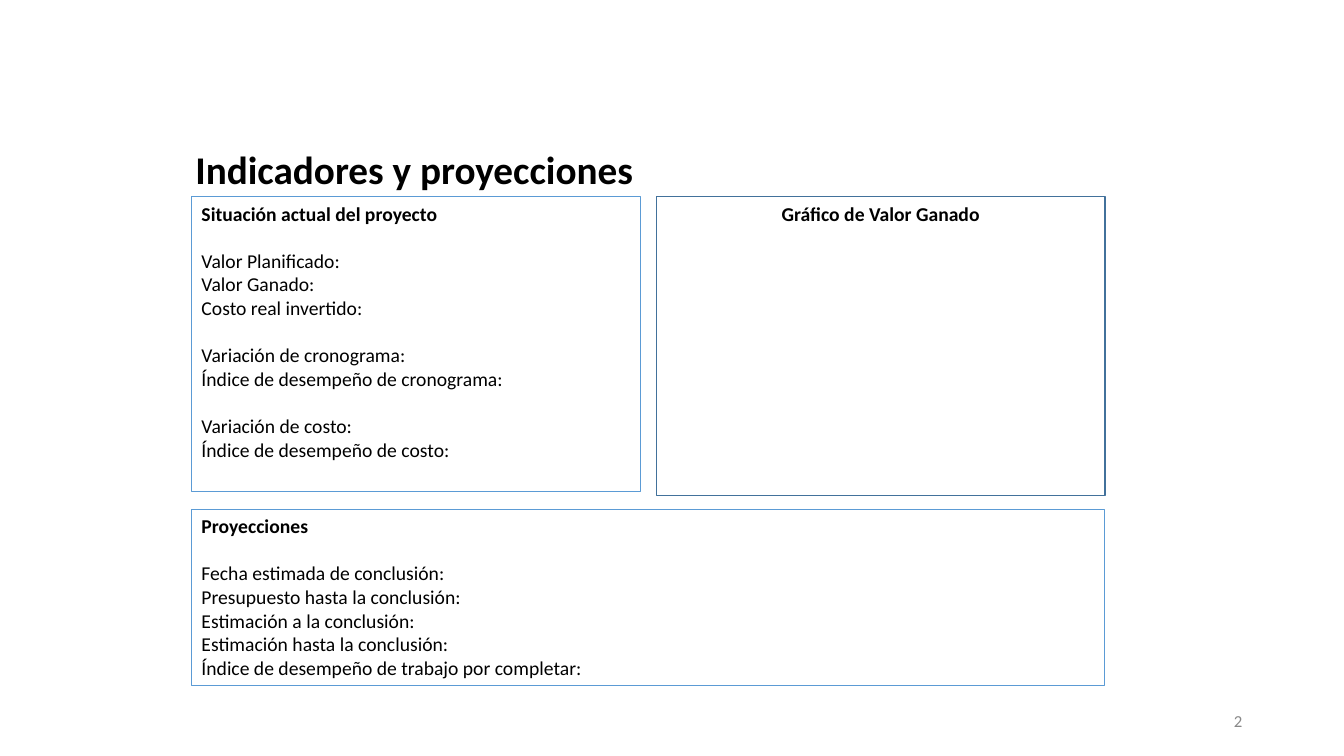
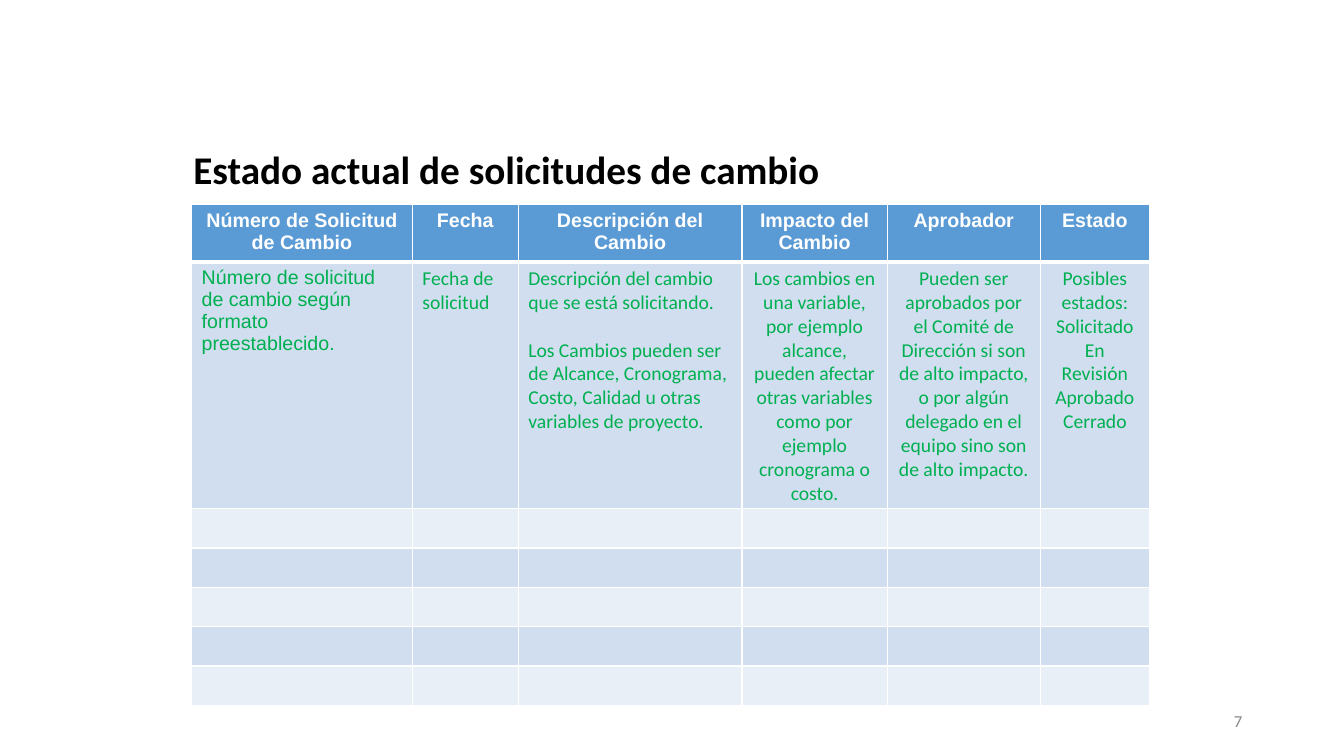
from lxml import etree
from pptx import Presentation
from pptx import util as u
from pptx.dml.color import RGBColor
from pptx.enum import shapes, text
from pptx.oxml.ns import qn

BLACK = RGBColor(0x00, 0x00, 0x00)
WHITE = RGBColor(0xFF, 0xFF, 0xFF)
GREY = RGBColor(0x88, 0x88, 0x88)
BLUE = RGBColor(0x5B, 0x9B, 0xD5)
NAVY = RGBColor(0x42, 0x71, 0x9B)
GREEN = RGBColor(0x00, 0xB0, 0x50)
BANDS = RGBColor(0xE9, 0xEF, 0xF7), RGBColor(0xD0, 0xDE, 0xEF)

LEFT, CENTER, RIGHT = (text.PP_ALIGN.LEFT, text.PP_ALIGN.CENTER,
                       text.PP_ALIGN.RIGHT)
TOP, MIDDLE = text.MSO_ANCHOR.TOP, text.MSO_ANCHOR.MIDDLE

EDGE, WIDE, GAP = 1.9, 9.06, 0.16
HALF = (WIDE - GAP) / 2
LINE = 17

BODY = dict(name="Calibri", size=u.Pt(14), bold=False)
STYLES = {
    "title": dict(BODY, size=u.Pt(28), bold=True, color=BLACK),
    "number": dict(BODY, size=u.Pt(12), color=GREY),
    "body": dict(BODY, color=BLACK),
    "lead": dict(BODY, bold=True, color=BLACK),
    "head": dict(BODY, name="Arial", bold=True, color=WHITE),
    "code": dict(BODY, name="Arial", color=GREEN),
    "hint": dict(BODY, color=GREEN),
}

PANELS = [
    ((EDGE, 1.95, HALF, 2.93), BLUE, LEFT, [
        ["Situación actual del proyecto"],
        ["Valor Planificado:", "Valor Ganado:", "Costo real invertido:"],
        ["Variación de cronograma:", "Índice de desempeño de cronograma:"],
        ["Variación de costo:", "Índice de desempeño de costo:"],
    ]),
    ((EDGE, 5.05, WIDE, 1.75), BLUE, LEFT, [
        ["Proyecciones"],
        ["Fecha estimada de conclusión:",
         "Presupuesto hasta la conclusión:",
         "Estimación a la conclusión:",
         "Estimación hasta la conclusión:",
         "Índice de desempeño de trabajo por completar:"],
    ]),
    ((EDGE + HALF + GAP, 1.95, HALF, 2.97), NAVY, CENTER, [
        ["Gráfico de Valor Ganado"],
    ]),
]

COLUMNS = [
    (2.19, "Número de Solicitud de Cambio", "code", LEFT,
     [["Número de solicitud de cambio según formato preestablecido."]]),
    (1.05, "Fecha", "hint", LEFT, [["Fecha de solicitud"]]),
    (2.22, "Descripción del Cambio", "hint", LEFT,
     [["Descripción del cambio que se está solicitando."],
      ["Los Cambios pueden ser de Alcance, Cronograma, Costo, Calidad u "
       "otras variables de proyecto."]]),
    (1.44, "Impacto del Cambio", "hint", CENTER,
     [["Los cambios en una variable, por ejemplo alcance, pueden afectar "
       "otras variables como por ejemplo cronograma o costo."]]),
    (1.52, "Aprobador", "hint", CENTER,
     [["Pueden ser aprobados por el Comité de Dirección si son de alto "
       "impacto, o por algún delegado en el equipo sino son de alto "
       "impacto."]]),
    (1.08, "Estado", "hint", CENTER,
     [["Posibles estados:", "Solicitado", "En Revisión", "Aprobado",
       "Cerrado"]]),
]
ROWS = [0.54, 2.45] + [0.39] * 5


def place(*box):
    return [u.Inches(n) for n in box]


def style(font, look):
    for key, value in look.items():
        if key == "color":
            font.color.rgb = value
        else:
            setattr(font, key, value)


def write(frame, groups, look, align=LEFT, lead=None):
    first = True
    for group in groups:
        for i, line in enumerate(group):
            para = frame.paragraphs[0] if first else frame.add_paragraph()
            para.alignment = align
            if i == 0 and not first:
                para.space_before = u.Pt(LINE)
            run = para.add_run()
            run.text = line
            style(run.font, STYLES[lead if first and lead else look])
            first = False


def label(slide, box, line, look, align=LEFT):
    frame = slide.shapes.add_textbox(*place(*box)).text_frame
    frame.word_wrap = True
    frame.vertical_anchor = MIDDLE
    write(frame, [[line]], look, align)


def start(deck, title, left, number):
    slide = deck.slides.add_slide(deck.slide_layouts[6])
    label(slide, (left, 1.48, 8.5, 0.39), title, "title")
    label(slide, (9.42, 6.95, 3, 0.4), number, "number", RIGHT)
    return slide


def panel(slide, box, color, align, groups):
    rect = slide.shapes.add_shape(shapes.MSO_SHAPE.RECTANGLE, *place(*box))
    rect.shadow.inherit = False
    rect.fill.background()
    rect.line.color.rgb = color
    rect.line.width = u.Pt(0.75)
    frame = rect.text_frame
    frame.word_wrap = True
    frame.vertical_anchor = TOP
    write(frame, groups, "body", align, "lead")


def border(cell, base):
    props = cell._tc.get_or_add_tcPr()
    for side, width in (("L", 1), ("R", 1), ("T", 1), ("B", base)):
        line = etree.SubElement(props, qn("a:ln" + side), w=str(u.Pt(width)))
        fill = etree.SubElement(line, qn("a:solidFill"))
        etree.SubElement(fill, qn("a:srgbClr"), val=str(WHITE))


def grid(slide):
    width = sum(col[0] for col in COLUMNS)
    box = place(EDGE, 2.03, width, sum(ROWS))
    table = slide.shapes.add_table(len(ROWS), len(COLUMNS), *box).table
    for r, height in enumerate(ROWS):
        table.rows[r].height = u.Inches(height)
    for c, (width, head, look, align, groups) in enumerate(COLUMNS):
        table.columns[c].width = u.Inches(width)
        for r in range(len(ROWS)):
            cell = table.cell(r, c)
            border(cell, 1 if r else 3)
            cell.fill.solid()
            cell.fill.fore_color.rgb = BANDS[r % 2] if r else BLUE
            if r == 0:
                write(cell.text_frame, [[head]], "head", CENTER)
            elif r == 1:
                write(cell.text_frame, groups, look, align)
            else:
                para = cell.text_frame.paragraphs[0]._p
                etree.SubElement(para, qn("a:endParaRPr"), sz="1400")


def main():
    deck = Presentation()
    deck.slide_width, deck.slide_height = place(13.33, 7.5)
    slide = start(deck, "Indicadores y proyecciones", 1.84, "2")
    for item in PANELS:
        panel(slide, *item)
    grid(start(deck, "Estado actual de solicitudes de cambio", 1.82, "7"))
    deck.save("out.pptx")


if __name__ == "__main__":
    main()
